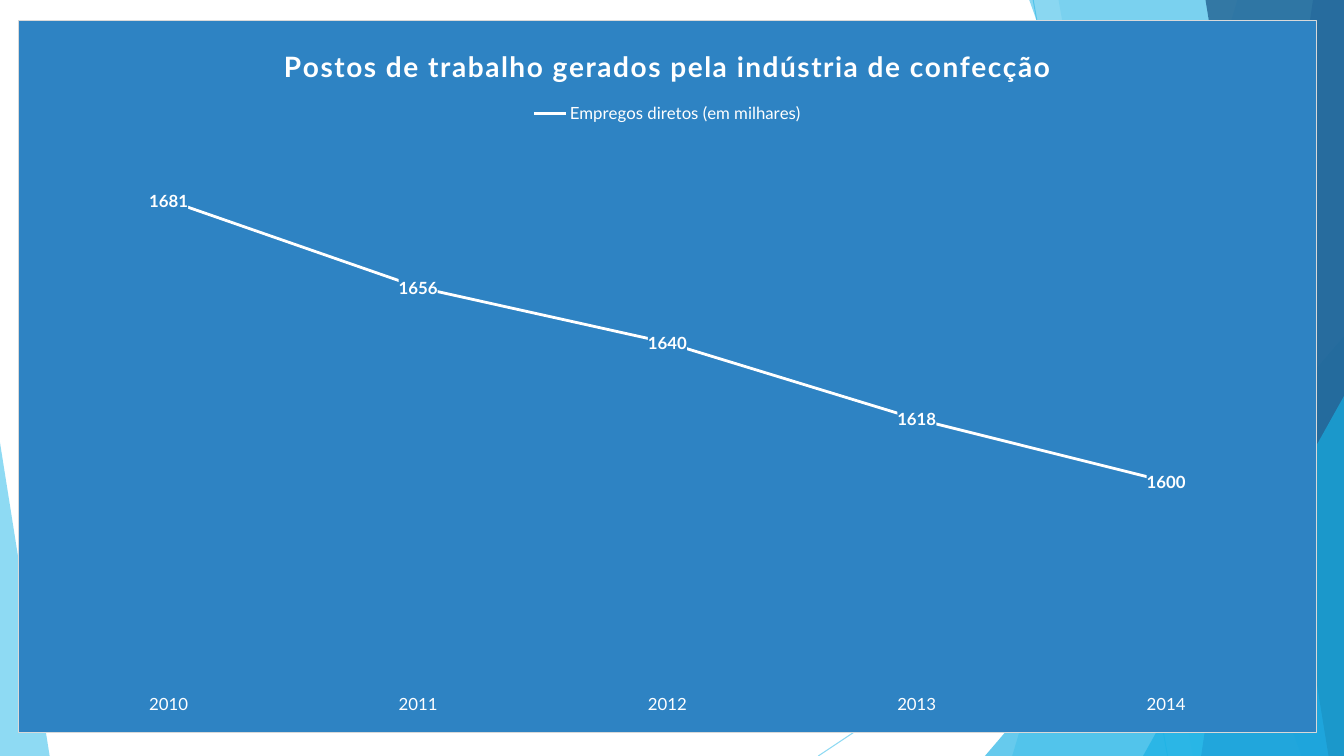
from lxml import etree
from pptx import Presentation
from pptx.chart.data import CategoryChartData
from pptx.dml.color import RGBColor
from pptx.enum import chart as kinds, shapes
from pptx.oxml import ns
from pptx.util import Pt

theme = {"sky": "5FCBEF", "cyan": "17B0E4", "blue": "2E83C3", "navy": "226292",
         "white": "FFFFFF", "edge": "D9D9D9", "font": "Lato", "title": 20, "label": 12}


def paint(fill, name, alpha=100):
    fill.solid()
    fill.fore_color.rgb = RGBColor.from_string(theme[name])
    if alpha < 100:
        color = next(fill._xPr.iter(ns.qn("a:srgbClr")))
        etree.SubElement(color, ns.qn("a:alpha"), val=str(alpha * 1000))


def style(item, values):
    for key, value in values.items():
        setattr(item, key, value)


deck = Presentation()
style(deck, {"slide_width": Pt(960), "slide_height": Pt(540)})
slide = deck.slides.add_slide(deck.slide_layouts[6])
items = slide.shapes

for ends in [(738, 0, 834, 540), (960, 290, 584.5, 540)]:
    line = items.add_connector(shapes.MSO_CONNECTOR.STRAIGHT, *map(Pt, ends))
    line.line.width = Pt(0.75)
    paint(line.line.fill, "sky", 70)
    etree.SubElement(line._element.spPr, ns.qn("a:effectLst"))

bands = [
    ("free", (884, 723), "sky", 36),
    ("free", (756, 852), "sky", 20),
    ("tri", (703.5, 240, 256.5, 300, 1), "cyan", 66),
    ("free", (735, 929.5), "cyan", 50),
    ("free", (938, 858), "blue", 70),
    ("free", (861, 949), "navy", 80),
    ("tri", (816.5, 283, 143.5, 257, 1), "cyan", 66),
    ("tri", (0, 316, 35.5, 224, 0), "sky", 70),
]
for kind, place, name, alpha in bands:
    if kind == "free":
        top, foot = place
        pen = items.build_freeform(Pt(top), Pt(-0.6))
        pen.add_line_segments([(Pt(x), Pt(y)) for x, y in
                               [(960, -0.6), (960, 540), (foot, 540)]])
        band = pen.convert_to_shape()
    else:
        *box, peak = place
        band = items.add_shape(shapes.MSO_SHAPE.ISOSCELES_TRIANGLE, *map(Pt, box))
        band.adjustments[0] = peak
    paint(band.fill, name, alpha)
    band.line.fill.background()
    band.shadow.inherit = False

data = CategoryChartData()
data.categories = ["2010", "2011", "2012", "2013", "2014"]
data.add_series("Empregos diretos (em milhares)", [1681, 1656, 1640, 1618, 1600])
chart = items.add_chart(kinds.XL_CHART_TYPE.LINE, Pt(12.5), Pt(14.5),
                        Pt(928.5), Pt(509), data).chart
plot = chart.plots[0]
jobs = plot.series[0]
years, scale = chart.category_axis, chart.value_axis
legend, marks = chart.legend, jobs.data_labels
style(chart, {"has_title": True, "has_legend": True})
legend = chart.legend
style(legend, {"position": kinds.XL_LEGEND_POSITION.TOP, "include_in_layout": False})
style(plot, {"vary_by_categories": False})
style(scale, {"minimum_scale": 1540, "maximum_scale": 1700, "visible": False,
              "has_major_gridlines": False})
style(years, {"major_tick_mark": kinds.XL_TICK_MARK.NONE})
years.format.line.fill.background()
style(marks, {"show_value": True, "position": kinds.XL_LABEL_POSITION.CENTER})
style(jobs, {"smooth": False})
style(jobs.marker, {"style": kinds.XL_MARKER_STYLE.NONE})
jobs.format.line.width = Pt(2)
paint(jobs.format.line.fill, "white")

frame = chart.chart_title.text_frame
frame.text = "Postos de trabalho gerados pela indústria de confecção"
run = frame.paragraphs[0].runs[0]
for font, size, bold in [(chart.font, "label", False), (run.font, "title", True),
                         (legend.font, "label", False), (years.tick_labels.font, "label", False),
                         (marks.font, "label", True)]:
    style(font, {"name": theme["font"], "size": Pt(theme[size]), "bold": bold})
    paint(font.fill, "white")
run.font._element.set("spc", "100")

back = etree.Element(ns.qn("c:spPr"))
solid = etree.SubElement(back, ns.qn("a:solidFill"))
etree.SubElement(solid, ns.qn("a:srgbClr"), val=theme["blue"])
marks._element.find(ns.qn("c:txPr")).addprevious(back)

panel = etree.Element(ns.qn("c:spPr"))
solid = etree.SubElement(panel, ns.qn("a:solidFill"))
etree.SubElement(solid, ns.qn("a:srgbClr"), val=theme["blue"])
edge = etree.SubElement(panel, ns.qn("a:ln"), w=str(Pt(0.75)))
solid = etree.SubElement(edge, ns.qn("a:solidFill"))
etree.SubElement(solid, ns.qn("a:srgbClr"), val=theme["edge"])
chart._chartSpace.find(ns.qn("c:txPr")).addprevious(panel)

area = chart._chartSpace.chart.plotArea
for old in area.findall(ns.qn("c:layout")):
    area.remove(old)
layout = etree.Element(ns.qn("c:layout"))
area.insert(0, layout)
manual = etree.SubElement(layout, ns.qn("c:manualLayout"))
for key, value in {"layoutTarget": "inner", "xMode": "edge", "yMode": "edge",
                   "x": 0.02, "y": 0.16, "w": 0.96, "h": 0.78}.items():
    etree.SubElement(manual, ns.qn("c:" + key), val=str(value))

deck.save("out.pptx")
